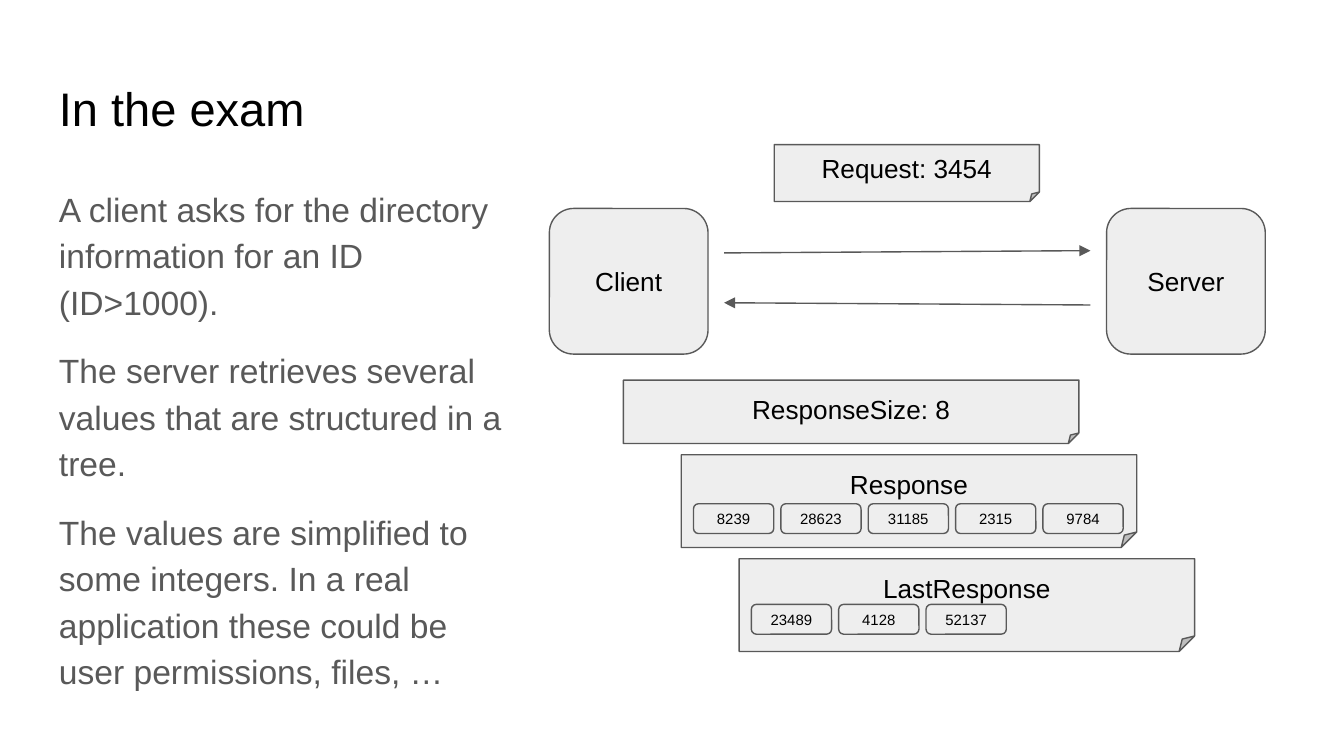
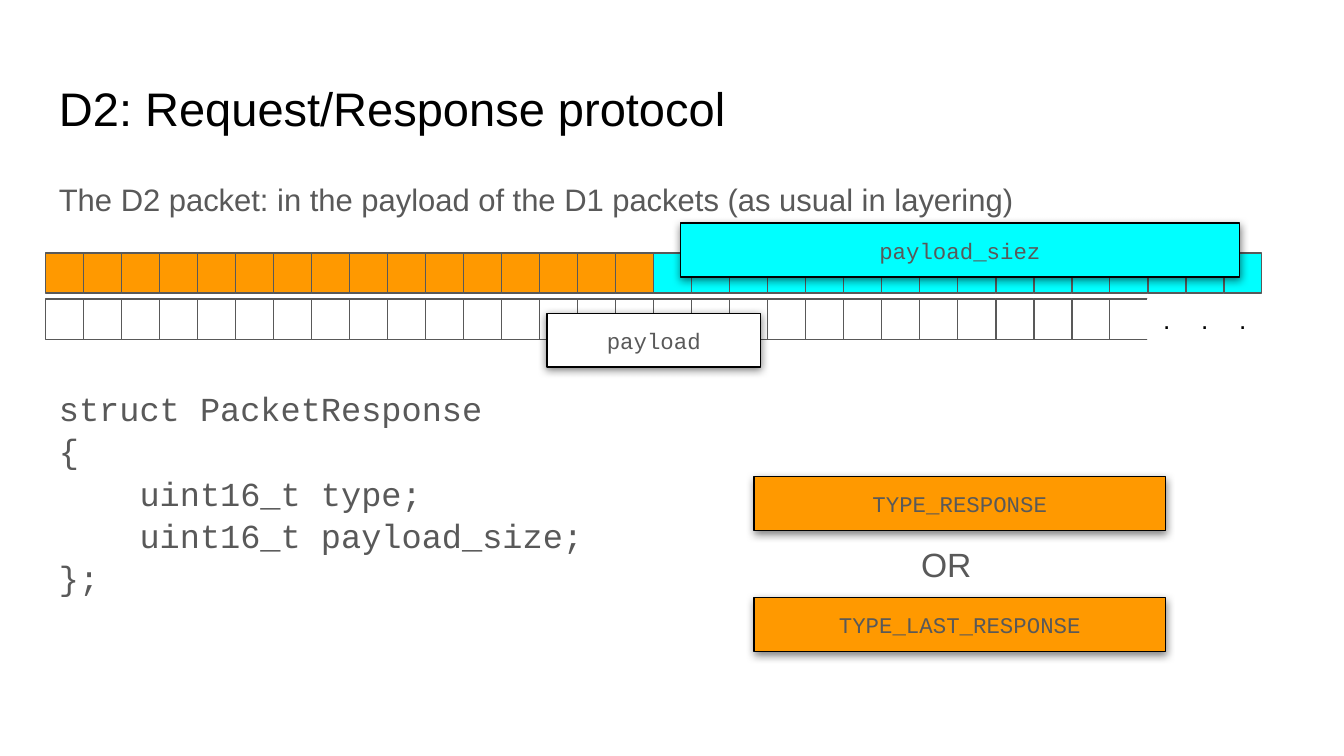
import pptx
import pptx.dml.color
import pptx.enum.shapes
import pptx.enum.text
import pptx.oxml
import pptx.oxml.ns
import pptx.util

Pt = pptx.util.Pt
RGBColor = pptx.dml.color.RGBColor
SHAPE = pptx.enum.shapes.MSO_SHAPE
CONNECTOR = pptx.enum.shapes.MSO_CONNECTOR
ALIGN = pptx.enum.text.PP_ALIGN
ANCHOR = pptx.enum.text.MSO_ANCHOR
qn = pptx.oxml.ns.qn

BLACK = RGBColor(0x00, 0x00, 0x00)
WHITE = RGBColor(0xFF, 0xFF, 0xFF)
GRAY = RGBColor(0x59, 0x59, 0x59)
PALE = RGBColor(0xEE, 0xEE, 0xEE)
ORANGE = RGBColor(0xFF, 0x99, 0x00)
CYAN = RGBColor(0x00, 0xFF, 0xFF)

SANS, MONO = "Arial", "Courier New"
SLIDE_W, SLIDE_H = 720, 405
LEFT = 24.5
INSET = 7.2
LINE_W = 0.75

SHADOW_XML = (
    '<a:outerShdw xmlns:a="http://schemas.openxmlformats.org/drawingml/2006/main" '
    f'blurRad="{Pt(4.5)}" dist="{Pt(1.5)}" dir="5400000" algn="bl" rotWithShape="0">'
    '<a:srgbClr val="000000"><a:alpha val="50000"/></a:srgbClr></a:outerShdw>'
)


def fill_text(sp, lines, size, color, font=SANS, align=ALIGN.LEFT, anchor=ANCHOR.TOP):
    tf = sp.text_frame
    tf.word_wrap = True
    tf.vertical_anchor = anchor
    tf.margin_left = tf.margin_right = tf.margin_top = tf.margin_bottom = Pt(INSET)
    tf.text = "\n".join(lines)
    for p in tf.paragraphs:
        p.alignment = align
        for r in p.runs:
            r.font.size = Pt(size)
            r.font.name = font
            r.font.color.rgb = color
    return tf.paragraphs


def add_text(shapes, box, lines, size, color=GRAY, **style):
    sp = shapes.add_textbox(*map(Pt, box))
    return fill_text(sp, lines, size, color, **style)


def add_box(shapes, kind, box, fill, line=GRAY):
    sp = shapes.add_shape(kind, *map(Pt, box))
    sp.shadow.inherit = False
    sp.fill.solid()
    sp.fill.fore_color.rgb = fill
    sp.line.color.rgb = line
    sp.line.width = Pt(LINE_W)
    return sp


def add_node(shapes, kind, box, label, size=14, anchor=ANCHOR.MIDDLE):
    """Pale box with a centred black label."""
    sp = add_box(shapes, kind, box, PALE)
    fill_text(sp, [label], size, BLACK, align=ALIGN.CENTER, anchor=anchor)


def add_arrow(shapes, x1, y1, x2, y2):
    cxn = shapes.add_connector(CONNECTOR.STRAIGHT, Pt(x1), Pt(y1), Pt(x2), Pt(y2))
    cxn.line.color.rgb = GRAY
    cxn.line.width = Pt(LINE_W)
    spPr = cxn._element.spPr
    tail = spPr.find(qn("a:ln")).makeelement(qn("a:tailEnd"), {"type": "triangle"})
    spPr.find(qn("a:ln")).append(tail)
    spPr.append(spPr.makeelement(qn("a:effectLst"), {}))


def add_field_label(shapes, box, label, fill):
    """Shadowed box naming a packet field or one of its values."""
    sp = add_box(shapes, SHAPE.RECTANGLE, box, fill, BLACK)
    effects = sp._element.spPr.find(qn("a:effectLst"))
    effects.append(pptx.oxml.parse_xml(SHADOW_XML))
    fill_text(sp, [label], 12, GRAY, font=MONO, align=ALIGN.CENTER)


def new_slide(prs, title):
    slide = prs.slides.add_slide(prs.slide_layouts[6])
    slide.background.fill.solid()
    slide.background.fill.fore_color.rgb = WHITE
    add_text(slide.shapes, (LEFT, 35.3, 671, 45.4), [title], 25.2, BLACK)
    return slide.shapes


def explanation(shapes, box):
    paragraphs = add_text(shapes, box, [
        "A client asks for the directory information for an ID (ID>1000).",
        "The server retrieves several values that are structured in a tree.",
        "The values are simplified to some integers. In a real application "
        "these could be user permissions, files, …",
    ], 18)
    for i, p in enumerate(paragraphs):
        p.line_spacing = 1.15
        p.space_before = Pt(12 if i else 0)
    paragraphs[-1].space_after = Pt(12)


def exchange(shapes, x, y, w):
    """Client and server with a request and a response arrow between them."""
    node_w, node_h, gap = 85, 78, 8.6
    server_x = x + w - node_w
    for node_x, label in ((x, "Client"), (server_x, "Server")):
        add_node(shapes, SHAPE.ROUNDED_RECTANGLE, (node_x, y, node_w, node_h), label)
    start, end = x + node_w + gap, server_x - gap
    add_arrow(shapes, start, y + 23.8, end, y + 22.6)
    add_arrow(shapes, end, y + 51.7, start, y + 50.5)
    add_node(shapes, SHAPE.FOLDED_CORNER, (x + 120.5, y - 34.2, 142, 30.5),
             "Request: 3454")


def response_note(shapes, box, label, values=(), values_dy=0):
    x, y = box[:2]
    if values:
        shapes = shapes.add_group_shape().shapes
    add_node(shapes, SHAPE.FOLDED_CORNER, box, label, anchor=ANCHOR.TOP)
    for i, value in enumerate(values):
        value_box = (x + 6.5 + i * 46.8, y + values_dy, 43, 16)
        add_node(shapes, SHAPE.ROUNDED_RECTANGLE, value_box, value, size=8)


def responses(shapes, x, y):
    """Cascade of response notes, each shifted right of the one above."""
    shift, w = 31, 244
    response_note(shapes, (x, y, w, 34), "ResponseSize: 8")
    response_note(shapes, (x + shift, y + 40, w, 49.7), "Response",
                  ("8239", "28623", "31185", "2315", "9784"), 26.3)
    response_note(shapes, (x + 2 * shift, y + 95.7, w, 49.7), "LastResponse",
                  ("23489", "4128", "52137"), 24.5)


def packet_bits(shapes, x, y):
    """Two rows of 32 bits: type and payload size, then the open-ended payload."""
    bits, bit_w, bit_h, row_step, dots = 32, 20.36, 21.6, 24.8, 3
    for i in range(bits):
        add_box(shapes, SHAPE.RECTANGLE, (x + i * bit_w, y, bit_w, bit_h),
                ORANGE if i < bits // 2 else CYAN)
    for i in range(bits):
        is_dot = i >= bits - dots
        sp = add_box(shapes, SHAPE.RECTANGLE,
                     (x + i * bit_w, y + row_step, bit_w, bit_h),
                     WHITE, WHITE if is_dot else GRAY)
        if is_dot:
            fill_text(sp, ["."], 14, BLACK, align=ALIGN.CENTER, anchor=ANCHOR.MIDDLE)
    add_field_label(shapes, (x + 340, y - 15.9, 299.5, 28.8), "payload_siez", CYAN)
    add_field_label(shapes, (x + 268.5, y + 32.4, 114.5, 28.8), "payload", WHITE)


def struct_code(shapes, box):
    paragraphs = add_text(shapes, box, [
        "struct PacketResponse", "{", "uint16_t type;", "uint16_t payload_size;", "};",
    ], 18, font=MONO)
    for p in paragraphs:
        p.line_spacing = 1.05
    for p in paragraphs[2:4]:
        p._p.get_or_add_pPr().set("marL", str(Pt(43.2)))


def type_choice(shapes, x, y, w):
    """The two possible type values, one above the other."""
    h, step = 28.8, 64.8
    for i, label in enumerate(("TYPE_RESPONSE", "TYPE_LAST_RESPONSE")):
        add_field_label(shapes, (x, y + i * step, w, h), label, ORANGE)
    add_text(shapes, (x + 68, y + h, 70, step - h), ["OR"], 18, align=ALIGN.CENTER)


def exam_slide(prs):
    shapes = new_slide(prs, "In the exam")
    explanation(shapes, (LEFT, 90.75, 261.5, 284.5))
    exchange(shapes, 294.3, 111.7, 383.5)
    responses(shapes, 334, 203.6)


def protocol_slide(prs):
    shapes = new_slide(prs, "D2: Request/Response protocol")
    intro = add_text(shapes, (LEFT, 90.75, 667, 34.5), [
        "The D2 packet: in the payload of the D1 packets (as usual in layering)",
    ], 16.6)[0]
    intro.line_spacing = 0.95
    intro.space_after = Pt(12)
    struct_code(shapes, (LEFT, 199.5, 404.5, 124))
    packet_bits(shapes, LEFT, 135.5)
    type_choice(shapes, 404, 255.4, 220.4)


def main():
    prs = pptx.Presentation()
    prs.slide_width, prs.slide_height = Pt(SLIDE_W), Pt(SLIDE_H)
    exam_slide(prs)
    protocol_slide(prs)
    prs.save("out.pptx")


if __name__ == "__main__":
    main()
